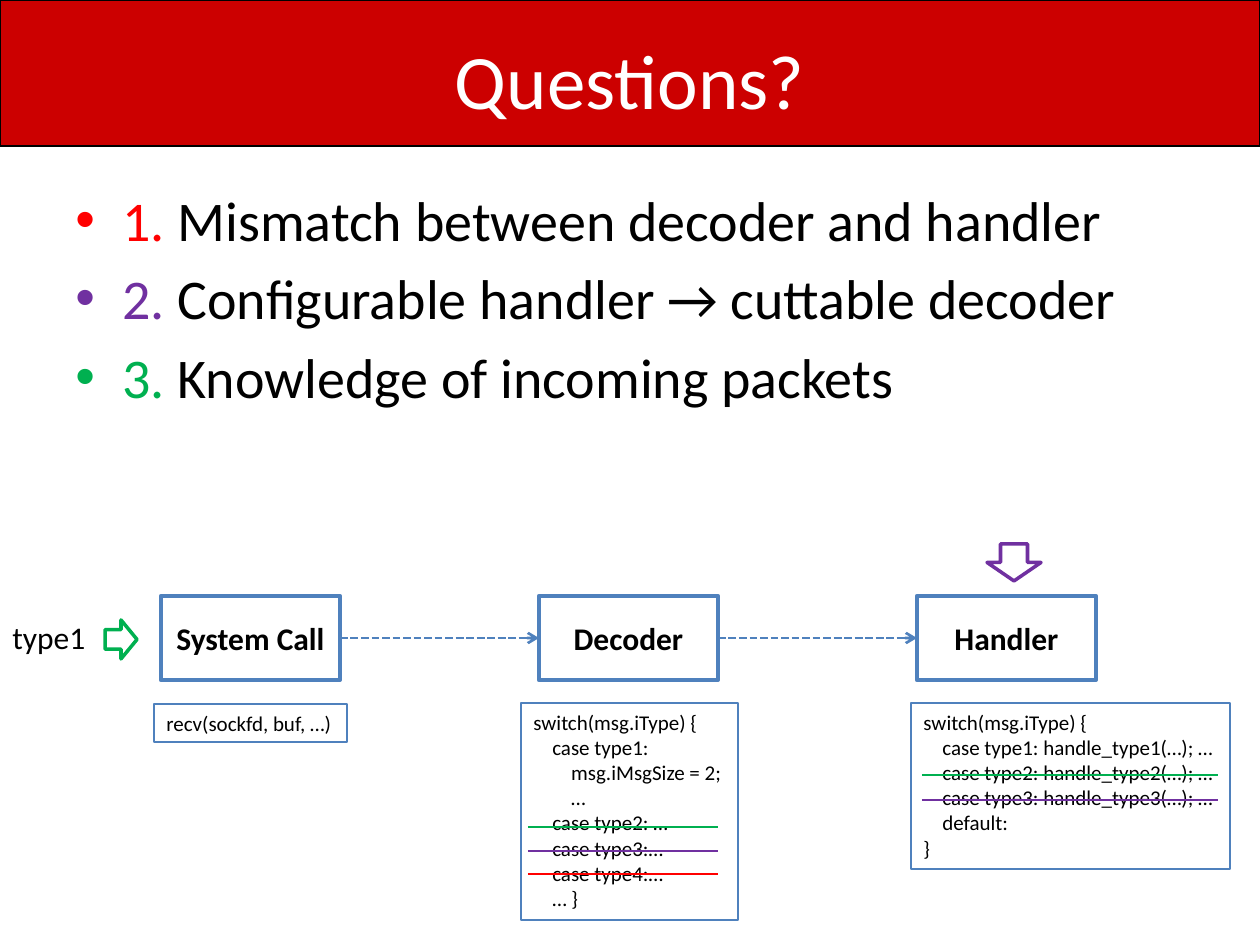
from dataclasses import dataclass

from pptx import Presentation
from pptx.dml.color import RGBColor
from pptx.enum.dml import MSO_LINE
from pptx.enum.shapes import MSO_CONNECTOR, MSO_SHAPE
from pptx.enum.text import MSO_ANCHOR, MSO_AUTO_SIZE, PP_ALIGN
from pptx.oxml.ns import qn
from pptx.util import Emu, Pt

RECT, DOWN, RIGHT = MSO_SHAPE.RECTANGLE, MSO_SHAPE.DOWN_ARROW, MSO_SHAPE.RIGHT_ARROW
STRAIGHT = MSO_CONNECTOR.STRAIGHT
DASH = MSO_LINE.SQUARE_DOT
TOP, MIDDLE = MSO_ANCHOR.TOP, MSO_ANCHOR.MIDDLE
LEFT, CENTER = PP_ALIGN.LEFT, PP_ALIGN.CENTER
GROW, FIXED = MSO_AUTO_SIZE.SHAPE_TO_FIT_TEXT, MSO_AUTO_SIZE.NONE


@dataclass(frozen=True)
class Theme:
    font: str = "Calibri"
    black: str = "000000"
    white: str = "FFFFFF"
    banner: str = "CC0000"
    blue: str = "4F81BD"
    red: str = "FF0000"
    purple: str = "7030A0"
    green: str = "00B050"
    title: int = 44
    body: int = 32
    label: int = 18
    code: int = 12


@dataclass(frozen=True)
class Box:
    left: int
    top: int
    width: int
    height: int


@dataclass(frozen=True)
class Code:
    box: Box
    lines: list[str]


@dataclass(frozen=True)
class Strike:
    start: int
    end: int
    y: int
    color: str


THEME = Theme()
WIDTH, HEIGHT = 1260, 945

# Main points: number colour and wording
POINTS = [
    (THEME.red, "Mismatch between decoder and handler"),
    (THEME.purple, "Configurable handler → cuttable decoder"),
    (THEME.green, "Knowledge of incoming packets"),
]

# Pipeline stages
STAGES = ["System Call", "Decoder", "Handler"]
FIRST = Box(161, 596, 179, 84)
STEP = 378

# Code under each stage
CODES = [
    Code(Box(154, 704, 193, 38), ["recv(sockfd, buf, …)"]),
    Code(Box(521, 703, 217, 217), [
        "switch(msg.iType) {",
        "    case type1:",
        "        msg.iMsgSize = 2;",
        "        …",
        "    case type2: …",
        "    case type3:…",
        "    case type4:…",
        "    … }",
    ]),
    Code(Box(911, 703, 319, 166), [
        "switch(msg.iType) {",
        "    case type1: handle_type1(…); …",
        "    case type2: handle_type2(…); …",
        "    case type3: handle_type3(…); …",
        "    default:",
        "}",
    ]),
]

# Lines through the cases that can be cut
STRIKES = [
    Strike(528, 718, 827, THEME.green),
    Strike(528, 718, 851, THEME.purple),
    Strike(528, 718, 874, THEME.red),
    Strike(922, 1218, 775, THEME.green),
    Strike(922, 1218, 800, THEME.purple),
]


def px(count: int) -> Emu:
    return Emu(round(count * 914400 / 126))


def place(box: Box) -> list[Emu]:
    return [px(n) for n in (box.left, box.top, box.width, box.height)]


def rgb(color: str) -> RGBColor:
    return RGBColor.from_string(color)


def write(shape, lines, *, size, color=THEME.black, bold=False, align=LEFT,
          anchor=TOP, wrap=True, fit=FIXED, bullet=False, gap=0) -> None:
    """Each line is a string or a list of (text, colour) runs."""
    frame = shape.text_frame
    frame.word_wrap, frame.auto_size = wrap, fit
    frame.vertical_anchor = anchor
    for index, line in enumerate(lines):
        para = frame.add_paragraph() if index else frame.paragraphs[0]
        para.alignment = align
        if bullet:
            props = para._p.get_or_add_pPr()
            props.set("marL", str(px(47)))
            props.set("indent", str(-px(47)))
            props.makeelement(qn("a:buFont"), {})
            font = props.makeelement(qn("a:buFont"), {"typeface": "Arial"})
            mark = props.makeelement(qn("a:buChar"), {"char": "•"})
            props.extend([font, mark])
        if index and gap:
            para.space_before = Pt(gap)
        for text, tint in [(line, color)] if isinstance(line, str) else line:
            run = para.add_run()
            run.text = text
            run.font.name, run.font.size = THEME.font, Pt(size)
            run.font.bold = bold
            run.font.color.rgb = rgb(tint)


def draw(slide, kind, box: Box, line: str, weight: float, fill: str = ""):
    shape = slide.shapes.add_shape(kind, *place(box))
    shape.shadow.inherit = False
    if fill:
        shape.fill.solid()
        shape.fill.fore_color.rgb = rgb(fill)
    else:
        shape.fill.background()
    shape.line.color.rgb = rgb(line)
    shape.line.width = Pt(weight)
    return shape


def link(slide, start: int, end: int, y: int, color: str, weight: float,
         arrow: bool = False) -> None:
    wire = slide.shapes.add_connector(STRAIGHT, px(start), px(y), px(end), px(y))
    wire.line.color.rgb = rgb(color)
    wire.line.width = Pt(weight)
    props = wire._element.spPr
    if arrow:
        wire.line.dash_style = DASH
        line = props.find(qn("a:ln"))
        line.append(line.makeelement(qn("a:tailEnd"), {"type": "arrow"}))
    props.append(props.makeelement(qn("a:effectLst"), {}))


def main() -> None:
    deck = Presentation()
    deck.slide_width, deck.slide_height = px(WIDTH), px(HEIGHT)
    slide = deck.slides.add_slide(deck.slide_layouts[6])

    # Banner and title
    draw(slide, RECT, Box(0, 0, WIDTH, 146), THEME.black, 1, THEME.banner)
    title = slide.shapes.add_textbox(*place(Box(63, 0, 1134, 158)))
    write(title, ["Questions?"], size=THEME.title, color=THEME.white,
          align=CENTER, anchor=MIDDLE)

    # Main points
    body = slide.shapes.add_textbox(*place(Box(63, 179, 1134, 624)))
    points = [[(f"{number}. ", tint), (text, THEME.black)]
              for number, (tint, text) in enumerate(POINTS, 1)]
    write(body, points, size=THEME.body, bullet=True, gap=6.4)

    # Stages, each joined to the one before
    for index, name in enumerate(STAGES):
        left = FIRST.left + index * STEP
        box = Box(left, FIRST.top, FIRST.width, FIRST.height)
        stage = draw(slide, RECT, box, THEME.blue, 2.5)
        write(stage, [name], size=THEME.label, bold=True, align=CENTER, anchor=MIDDLE)
        if index:
            link(slide, left - STEP + FIRST.width, left,
                 FIRST.top + FIRST.height // 2, THEME.blue, 1.5, arrow=True)

    # Code boxes and cut lines
    for code in CODES:
        panel = draw(slide, RECT, code.box, THEME.blue, 1)
        write(panel, code.lines, size=THEME.code, wrap=False, fit=GROW)
    for cut in STRIKES:
        link(slide, cut.start, cut.end, cut.y, cut.color, 1)

    # Input and configuration arrows
    label = slide.shapes.add_textbox(*place(Box(0, 612, 99, 50)))
    write(label, ["type1"], size=THEME.label, wrap=False, fit=GROW)
    draw(slide, RIGHT, Box(105, 620, 32, 39), THEME.green, 2)
    draw(slide, DOWN, Box(987, 544, 54, 37), THEME.purple, 2)

    deck.save("out.pptx")


if __name__ == "__main__":
    main()
